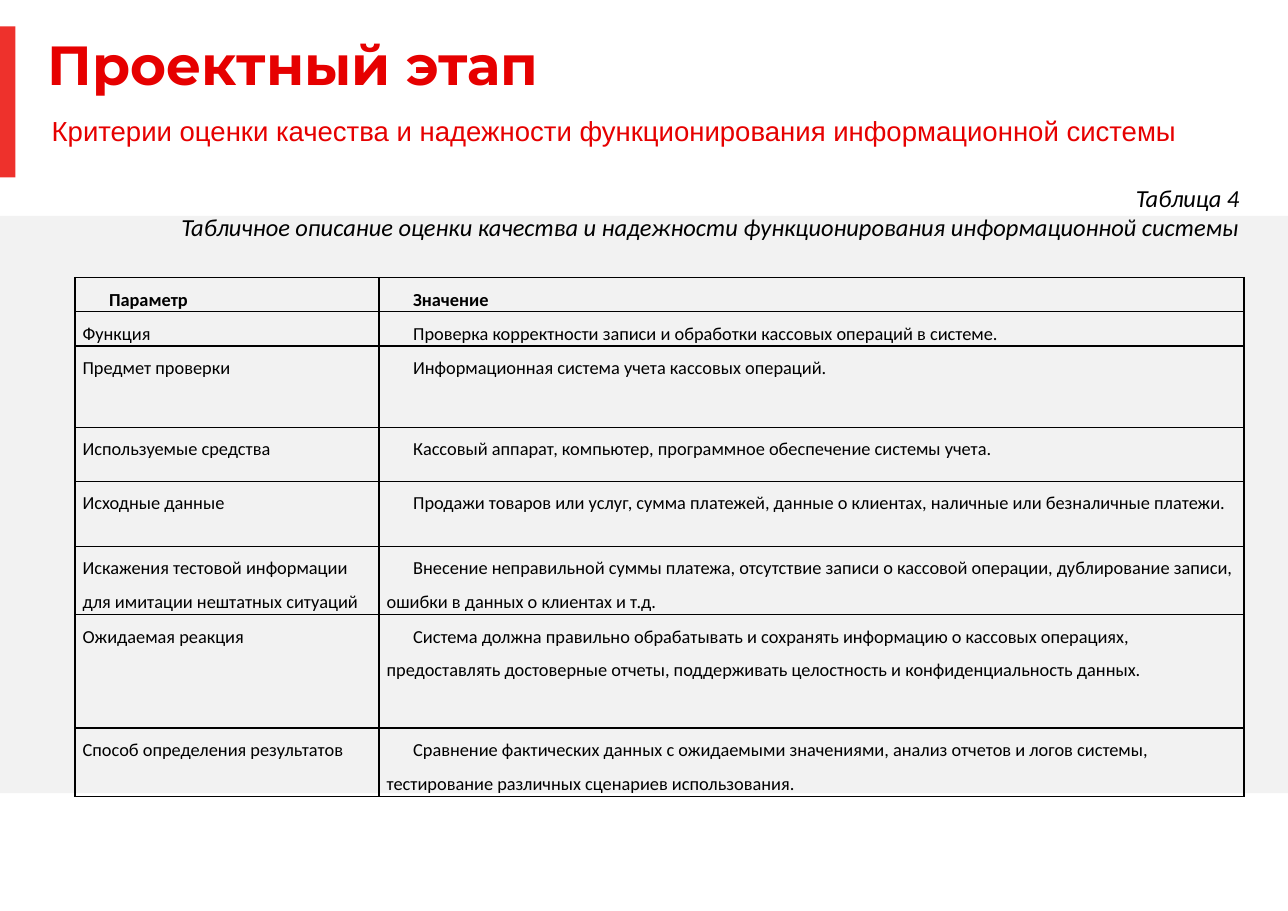
import pptx
import pptx.util
import pptx.dml.color
import pptx.enum.shapes
import pptx.enum.text
import pptx.oxml
from pptx.oxml.ns import nsdecls
from pptx.util import Inches

ALIGN = pptx.enum.text.PP_ALIGN
ANCHOR = pptx.enum.text.MSO_ANCHOR

RED, BLACK = "E60000", "000000"

ROWS = [
    ("Параметр", "Значение", 0.31),
    ("Функция", "Проверка корректности записи и обработки кассовых операций в системе.", 0.31),
    ("Предмет проверки", "Информационная система учета кассовых операций.", 0.74),
    ("Используемые средства",
     "Кассовый аппарат, компьютер, программное обеспечение системы учета.", 0.49),
    ("Исходные данные",
     "Продажи товаров или услуг, сумма платежей, данные о клиентах, "
     "наличные или безналичные платежи.", 0.59),
    ("Искажения тестовой информации для имитации нештатных ситуаций",
     "Внесение неправильной суммы платежа, отсутствие записи о кассовой операции, "
     "дублирование записи, ошибки в данных о клиентах и т.д.", 0.62),
    ("Ожидаемая реакция",
     "Система должна правильно обрабатывать и сохранять информацию о кассовых операциях, "
     "предоставлять достоверные отчеты, поддерживать целостность и конфиденциальность данных.",
     1.03),
    ("Способ определения результатов",
     "Сравнение фактических данных с ожидаемыми значениями, анализ отчетов и логов системы, "
     "тестирование различных сценариев использования.", 0.62),
]


def colour(value):
    return pptx.dml.color.RGBColor.from_string(value)


class SlideBuilder:
    def __init__(self, page):
        self.page = page

    def rectangle(self, left, top, width, height, fill):
        box = self.page.shapes.add_shape(
            pptx.enum.shapes.MSO_SHAPE.RECTANGLE,
            Inches(left), Inches(top), Inches(width), Inches(height))
        box.shadow.inherit = False
        box.fill.solid()
        box.fill.fore_color.rgb = colour(fill)
        box.line.fill.background()

    def style(self, para, size, font, tint, bold=False, italic=False,
              align=ALIGN.LEFT, spacing=1.0, margin=0, indent=0):
        properties = para._p.get_or_add_pPr()
        properties.set("marL", str(Inches(margin)))
        properties.set("indent", str(Inches(indent)))
        para.alignment = align
        para.line_spacing = spacing
        para.font.size = pptx.util.Pt(size)
        para.font.name = font
        para.font.bold = bold
        para.font.italic = italic
        para.font.color.rgb = colour(tint)

    def fill_frame(self, frame, lines, insets, anchor, **look):
        frame.word_wrap = True
        frame.auto_size = pptx.enum.text.MSO_AUTO_SIZE.NONE
        frame.vertical_anchor = anchor
        frame.margin_left = frame.margin_right = Inches(insets[0])
        frame.margin_top = frame.margin_bottom = Inches(insets[1])
        frame.text = "\n".join(lines)
        for para in frame.paragraphs:
            self.style(para, **look)

    def title(self, text, left, top, width, height, **look):
        box = self.page.shapes.title
        box.left, box.top = Inches(left), Inches(top)
        box.width, box.height = Inches(width), Inches(height)
        self.fill_frame(box.text_frame, [text], (0, 0), ANCHOR.MIDDLE, **look)

    def text(self, lines, left, top, width, height, anchor=ANCHOR.TOP, **look):
        box = self.page.shapes.add_textbox(
            Inches(left), Inches(top), Inches(width), Inches(height))
        self.fill_frame(box.text_frame, lines, (0.11, 0.06), anchor, **look)

    def borders(self, cell):
        properties = cell._tc.get_or_add_tcPr()
        for side in ("lnL", "lnR", "lnT", "lnB"):
            properties.append(pptx.oxml.parse_xml(
                f'<a:{side} {nsdecls("a")} w="12700"><a:solidFill>'
                f'<a:srgbClr val="{BLACK}"/></a:solidFill></a:{side}>'))

    def table(self, rows, left, top, widths):
        height = sum(row[-1] for row in rows)
        table = self.page.shapes.add_table(
            len(rows), len(widths), Inches(left), Inches(top),
            Inches(sum(widths)), Inches(height)).table
        table.first_row = table.horz_banding = False
        for column, width in zip(table.columns, widths):
            column.width = Inches(width)
        for number, (*texts, row_height) in enumerate(rows):
            table.rows[number].height = Inches(row_height)
            header = number == 0
            for position, text in enumerate(texts):
                cell = table.cell(number, position)
                cell.margin_left = cell.margin_right = Inches(0.07)
                cell.margin_top = cell.margin_bottom = 0
                self.borders(cell)
                cell.fill.background()
                cell.text = text
                self.style(cell.text_frame.paragraphs[0], 12, "Calibri", BLACK,
                           bold=header, spacing=1.5,
                           indent=0.24 if header or position else 0)


def main():
    deck = pptx.Presentation()
    deck.slide_width, deck.slide_height = Inches(11.69), Inches(8.27)
    builder = SlideBuilder(deck.slides.add_slide(deck.slide_layouts[5]))

    # Background band and red accent
    builder.rectangle(0, 1.96, 11.69, 5.24, "F2F2F2")
    builder.rectangle(0, 0.24, 0.14, 1.37, "EE312C")

    # Headings
    builder.title("Проектный этап", 0.43, 0.31, 11.11, 0.6,
                  size=36, font="Montserrat", tint=RED, bold=True, spacing=0.9)
    builder.text(
        ["Критерии оценки качества и надежности функционирования информационной системы"],
        0.26, 0.28, 10.74, 1.12, ANCHOR.BOTTOM,
        size=18, font="Arial", tint=RED, spacing=0.9, margin=0.1)

    # Table caption
    builder.text(
        ["Таблица 4",
         "Табличное описание оценки качества и надежности функционирования "
         "информационной системы"],
        0.33, 1.6, 11.03, 0.7,
        size=16, font="Calibri", tint=BLACK, italic=True, align=ALIGN.RIGHT, indent=0.59)

    # Criteria table
    builder.table(ROWS, 0.68, 2.52, (2.76, 7.85))

    deck.save("out.pptx")


if __name__ == "__main__":
    main()
